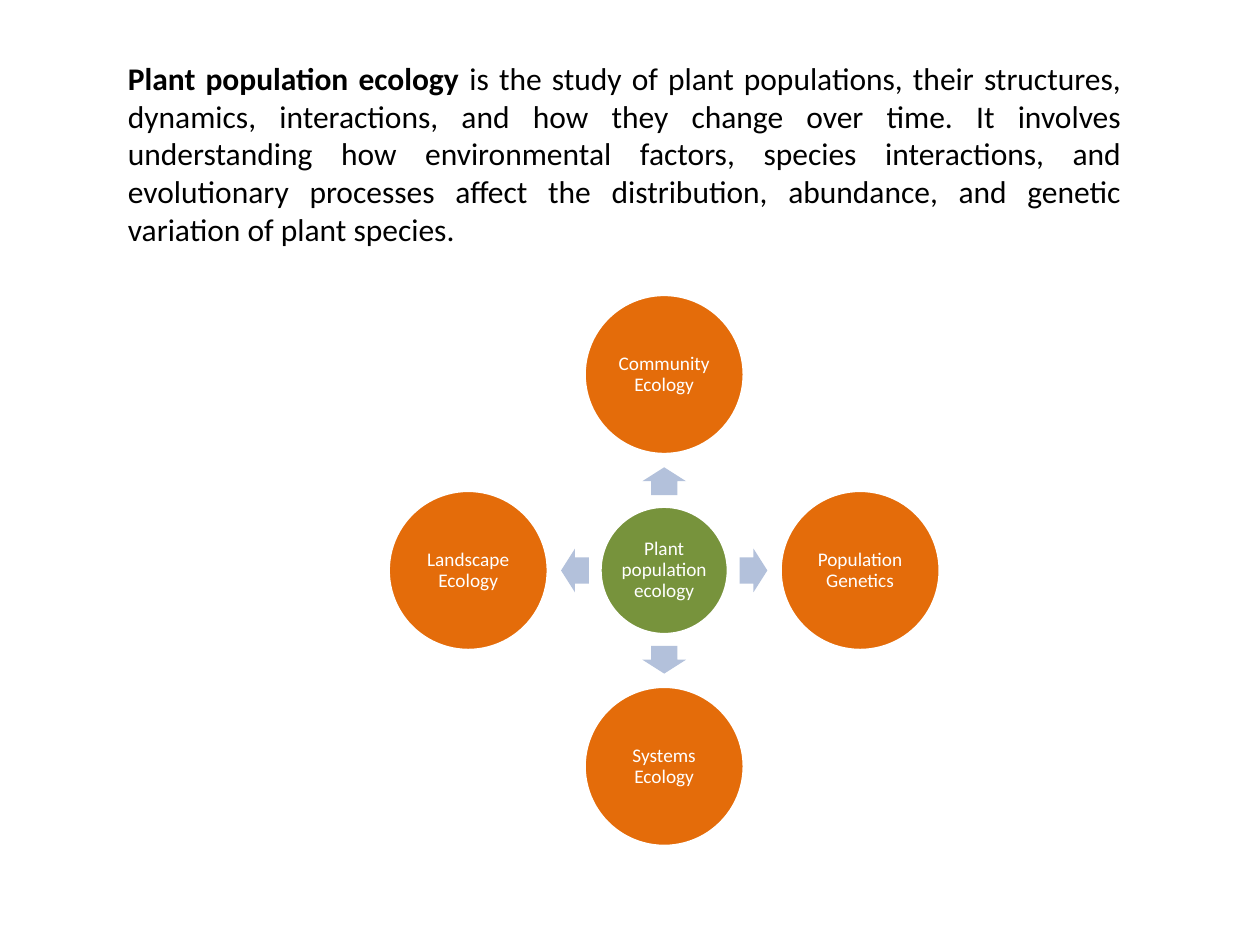
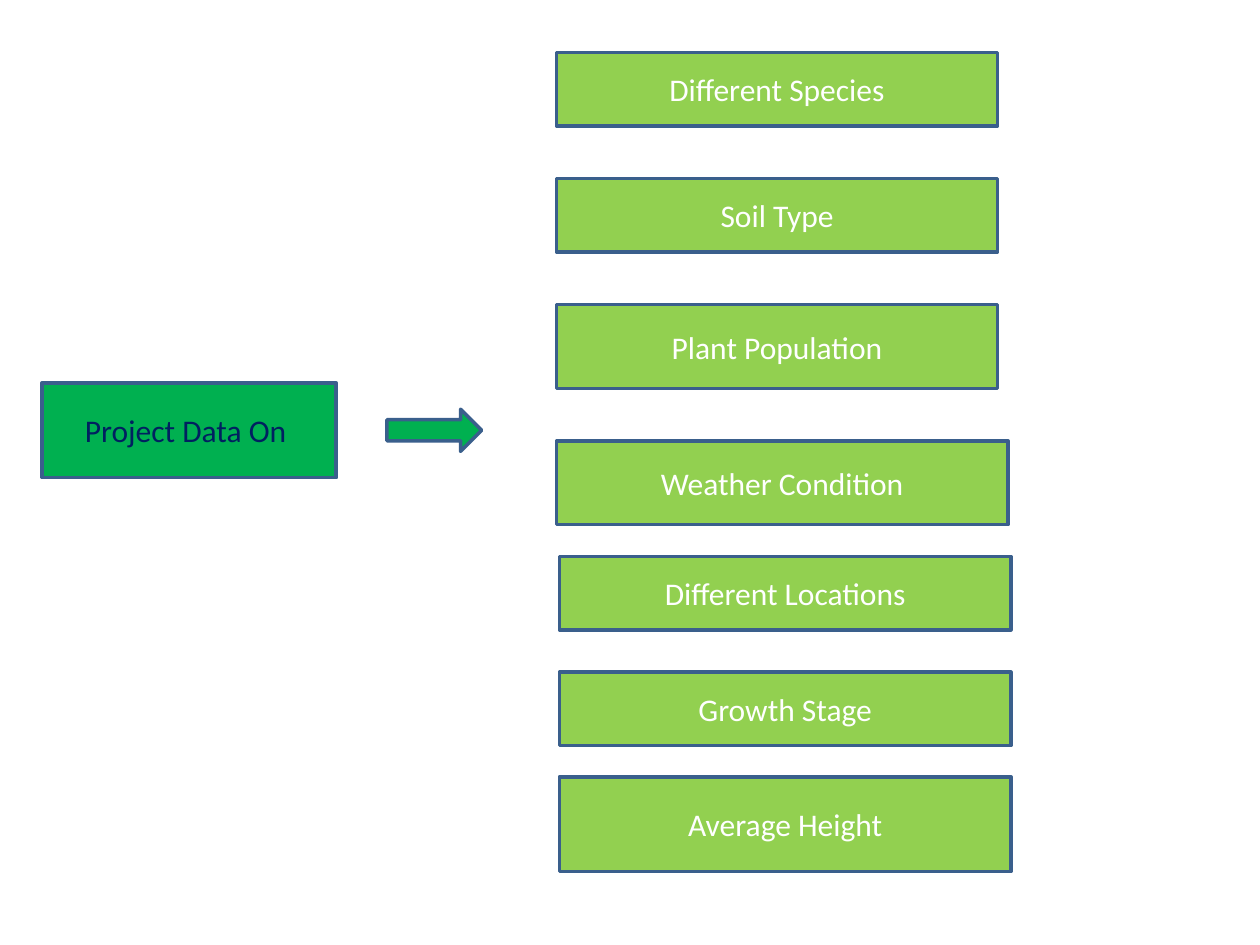
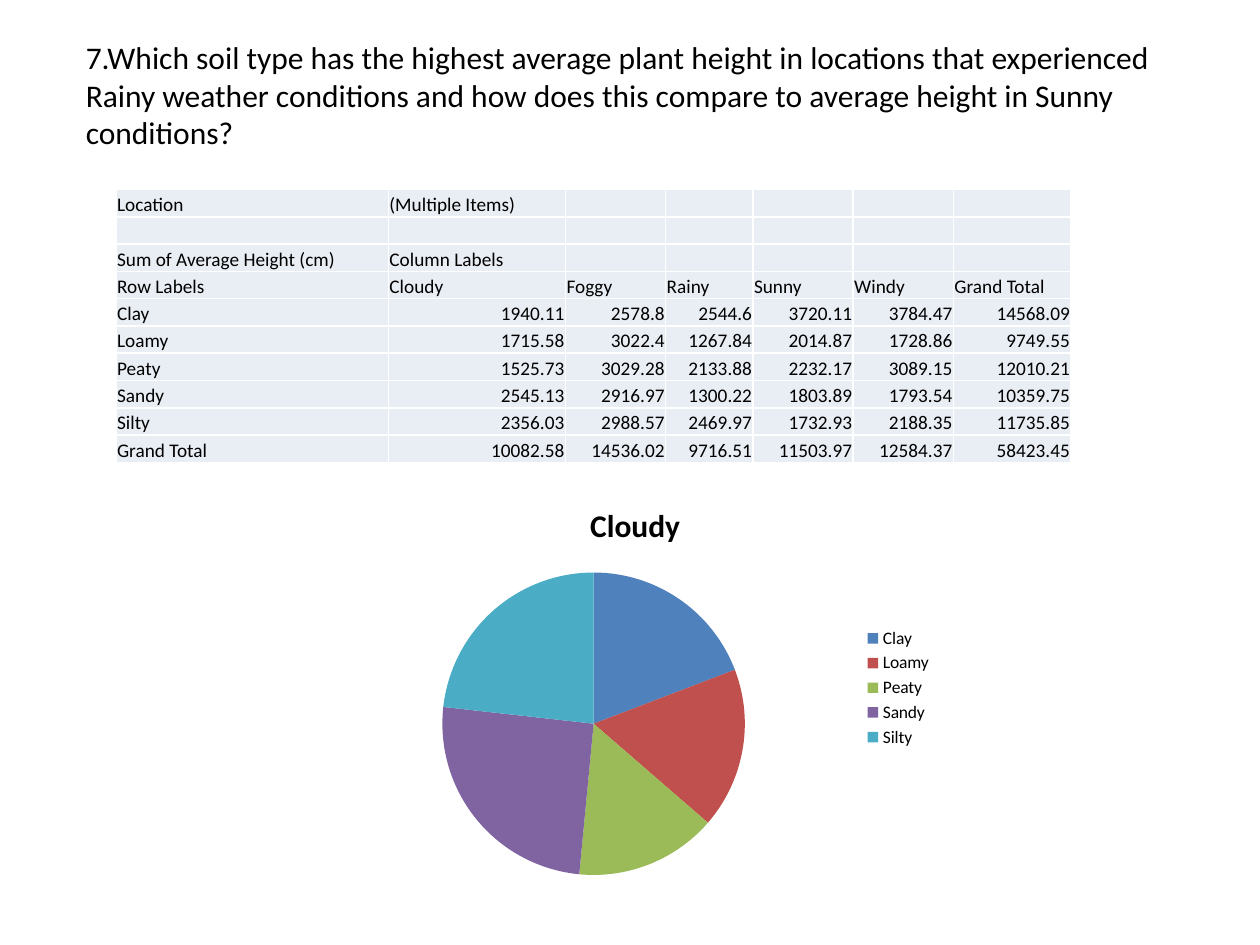
"""Build three slides on plant population ecology and its project data."""
from dataclasses import dataclass
from math import cos, radians, sin

from pptx import Presentation
from pptx.chart.data import CategoryChartData
from pptx.dml.color import RGBColor
from pptx.enum.chart import XL_CHART_TYPE as ChartType, XL_LEGEND_POSITION as LegendPosition
from pptx.enum.shapes import MSO_SHAPE as Preset
from pptx.enum.text import MSO_ANCHOR as Anchor, MSO_AUTO_SIZE as AutoSize, PP_ALIGN as Align
from pptx.shapes.autoshape import Shape
from pptx.slide import Slide
from pptx.text.text import Font, TextFrame, _Paragraph as Paragraph
from pptx.util import Cm, Pt

COLORS = {
    "text": "000000", "white": "FFFFFF", "navy": "002060",
    "hub": "77933C", "satellite": "E46C0A", "spoke": "B3C1DB",
    "topic": "92D050", "project": "00B050", "outline": "3A5F8C", "cell": "E9EDF4",
}
SLICE_COLORS = ["4F81BD", "C0504D", "9BBB59", "8064A2", "4BACC6"]
FONT = "Calibri"
BODY_SIZE = 18
SMALL_SIZE = 11


@dataclass(frozen=True)
class Box:
    """Place and size in centimetres."""
    left: float
    top: float
    width: float
    height: float

    def lengths(self) -> tuple[Cm, Cm, Cm, Cm]:
        """Give the four values as slide lengths."""
        return Cm(self.left), Cm(self.top), Cm(self.width), Cm(self.height)


@dataclass(frozen=True)
class Satellite:
    """A field of ecology at an angle around the hub."""
    label: str
    angle: int


@dataclass(frozen=True)
class Topic:
    """A labelled box in the list of project data."""
    label: str
    box: Box


HUB_CENTER = (13.39, 11.5)
HUB_DIAMETER = 2.59
SATELLITE_DIAMETER = 3.23
SATELLITE_DISTANCE = 3.95
SPOKE_DISTANCE = 1.8
SPOKE_WIDTH, SPOKE_HEIGHT = 0.56, 0.88
SATELLITES = [
    Satellite("Community Ecology", 270),
    Satellite("Population Genetics", 0),
    Satellite("Systems Ecology", 90),
    Satellite("Landscape Ecology", 180),
]

TOPICS = [
    Topic("Different Species", Box(11.22, 1.06, 8.89, 1.48)),
    Topic("Soil Type", Box(11.22, 3.6, 8.89, 1.48)),
    Topic("Plant Population", Box(11.22, 6.14, 8.89, 1.69)),
    Topic("Weather Condition", Box(11.22, 8.89, 9.1, 1.69)),
    Topic("Different Locations", Box(11.28, 11.22, 9.1, 1.48)),
    Topic("Growth Stage", Box(11.28, 13.55, 9.1, 1.48)),
    Topic("Average Height", Box(11.28, 15.66, 9.1, 1.91)),
]

WEATHER = ["Cloudy", "Foggy", "Rainy", "Sunny", "Windy"]
HEIGHTS = {
    "Clay": [1940.11, 2578.8, 2544.6, 3720.11, 3784.47, 14568.09],
    "Loamy": [1715.58, 3022.4, 1267.84, 2014.87, 1728.86, 9749.55],
    "Peaty": [1525.73, 3029.28, 2133.88, 2232.17, 3089.15, 12010.21],
    "Sandy": [2545.13, 2916.97, 1300.22, 1803.89, 1793.54, 10359.75],
    "Silty": [2356.03, 2988.57, 2469.97, 1732.93, 2188.35, 11735.85],
}
TOTALS = [10082.58, 14536.02, 9716.51, 11503.97, 12584.37, 58423.45]
TABLE_ROWS = [
    ["Location", "(Multiple Items)"],
    [],
    ["Sum of Average Height (cm)", "Column Labels"],
    ["Row Labels", *WEATHER, "Grand Total"],
    *([soil, *values] for soil, values in HEIGHTS.items()),
    ["Grand Total", *TOTALS],
]
COLUMN_WIDTHS = [5.49, 3.57, 2.02, 1.76, 2.02, 2.02, 2.37]
ROW_HEIGHT = 0.55


def color(name: str) -> RGBColor:
    """Look up a named colour."""
    return RGBColor.from_string(COLORS[name])


def style_font(font: Font, size: float, color_name: str = "text") -> None:
    """Set the shared typeface with a size and a colour."""
    font.name = FONT
    font.size = Pt(size)
    font.color.rgb = color(color_name)


def add_statement(slide: Slide, box: Box) -> Paragraph:
    """Add a wrapping text box and return its paragraph."""
    frame = slide.shapes.add_textbox(*box.lengths()).text_frame
    frame.word_wrap = True
    frame.auto_size = AutoSize.SHAPE_TO_FIT_TEXT
    paragraph = frame.paragraphs[0]
    style_font(paragraph.font, BODY_SIZE)
    return paragraph


def add_figure(slide: Slide, preset: Preset, box: Box, fill: str, line: str | None = None) -> Shape:
    """Add a flat preset shape, outlined if a line colour is given."""
    shape = slide.shapes.add_shape(preset, *box.lengths())
    shape.shadow.inherit = False
    shape.fill.solid()
    shape.fill.fore_color.rgb = color(fill)
    if line:
        shape.line.color.rgb = color(line)
        shape.line.width = Pt(2)
    else:
        shape.line.fill.background()
    return shape


def write_label(frame: TextFrame, text: str, size: float, color_name: str = "white") -> Paragraph:
    """Write centred text in a shape."""
    frame.word_wrap = True
    frame.vertical_anchor = Anchor.MIDDLE
    paragraph = frame.paragraphs[0]
    paragraph.text = text
    paragraph.alignment = Align.CENTER
    style_font(paragraph.font, size, color_name)
    return paragraph


def centered_box(angle: int, distance: float, width: float, height: float) -> Box:
    """Place a box by its centre, at an angle and distance from the hub."""
    center_x = HUB_CENTER[0] + distance * cos(radians(angle))
    center_y = HUB_CENTER[1] + distance * sin(radians(angle))
    return Box(center_x - width / 2, center_y - height / 2, width, height)


def add_circle(slide: Slide, box: Box, label: str, fill: str) -> None:
    """Add a labelled circle of the radial diagram."""
    frame = add_figure(slide, Preset.OVAL, box, fill, "white").text_frame
    frame.margin_left = frame.margin_right = frame.margin_top = frame.margin_bottom = Cm(0.05)
    write_label(frame, label, SMALL_SIZE).line_spacing = 0.9


def build_definition(slide: Slide) -> None:
    """Define plant population ecology above its radial diagram."""
    paragraph = add_statement(slide, Box(2.33, 1.06, 20.53, 4.11))
    paragraph.alignment = Align.JUSTIFY
    term = paragraph.add_run()
    term.text = "Plant population ecology"
    term.font.bold = True
    paragraph.add_run().text = (
        " is the study of plant populations, their structures, dynamics, interactions, "
        "and how they change over time. It involves understanding how environmental factors, "
        "species interactions, and evolutionary processes affect the distribution, abundance, "
        "and genetic variation of plant species."
    )
    hub = centered_box(0, 0, HUB_DIAMETER, HUB_DIAMETER)
    add_circle(slide, hub, "Plant population ecology", "hub")
    for satellite in SATELLITES:
        spoke_box = centered_box(satellite.angle, SPOKE_DISTANCE, SPOKE_WIDTH, SPOKE_HEIGHT)
        spoke = add_figure(slide, Preset.RIGHT_ARROW, spoke_box, "spoke")
        spoke.rotation = satellite.angle
        spoke.adjustments[0], spoke.adjustments[1] = 0.6, 0.5
        circle_box = centered_box(
            satellite.angle, SATELLITE_DISTANCE, SATELLITE_DIAMETER, SATELLITE_DIAMETER)
        add_circle(slide, circle_box, satellite.label, "satellite")


def build_project_data(slide: Slide) -> None:
    """List the kinds of project data."""
    project = add_figure(slide, Preset.RECTANGLE, Box(0.85, 7.72, 5.93, 1.91), "project", "outline")
    write_label(project.text_frame, "Project Data On ", BODY_SIZE, "navy")
    add_figure(slide, Preset.RIGHT_ARROW, Box(7.8, 8.25, 1.91, 0.85), "project", "outline")
    for topic in TOPICS:
        shape = add_figure(slide, Preset.RECTANGLE, topic.box, "topic", "outline")
        write_label(shape.text_frame, topic.label, BODY_SIZE)


def add_height_table(slide: Slide) -> None:
    """Add the pivot table of heights by soil and weather."""
    box = Box(2.34, 3.82, sum(COLUMN_WIDTHS), ROW_HEIGHT * len(TABLE_ROWS))
    table = slide.shapes.add_table(len(TABLE_ROWS), len(COLUMN_WIDTHS), *box.lengths()).table
    table.first_row = table.horz_banding = False
    for column, width in zip(table.columns, COLUMN_WIDTHS):
        column.width = Cm(width)
    for row, values in zip(table.rows, TABLE_ROWS):
        row.height = Cm(ROW_HEIGHT)
        for index, cell in enumerate(row.cells):
            cell.fill.solid()
            cell.fill.fore_color.rgb = color("cell")
            cell.vertical_anchor = Anchor.BOTTOM
            cell.margin_left = cell.margin_right = cell.margin_top = Cm(0.02)
            cell.margin_bottom = 0
            paragraph = cell.text_frame.paragraphs[0]
            style_font(paragraph.font, SMALL_SIZE)
            if index < len(values):
                paragraph.text = str(values[index])
                if isinstance(values[index], float):
                    paragraph.alignment = Align.RIGHT
            else:
                paragraph._p.get_or_add_endParaRPr().set("sz", str(SMALL_SIZE * 100))


def add_share_chart(slide: Slide) -> None:
    """Add the pie of each soil's percentage share of height."""
    chart_data = CategoryChartData()
    chart_data.categories = list(HEIGHTS)
    for index, weather in enumerate(WEATHER):
        shares = [round(100 * values[index] / TOTALS[index]) for values in HEIGHTS.values()]
        chart_data.add_series(weather, shares)
    box = Box(6.56, 9.74, 12.49, 8.25)
    chart = slide.shapes.add_chart(ChartType.PIE, *box.lengths(), chart_data).chart
    chart.replace_data(chart_data)
    style_font(chart.font, 10)
    chart.has_title = True
    title = chart.chart_title.text_frame.paragraphs[0]
    title.text = WEATHER[0]
    style_font(title.font, BODY_SIZE)
    title.font.bold = True
    chart.has_legend = True
    chart.legend.position = LegendPosition.RIGHT
    chart.legend.include_in_layout = False
    plot = chart.plots[0]
    plot.vary_by_categories = True
    for series in plot.series:
        for index, slice_color in enumerate(SLICE_COLORS):
            fill = series.points[index].format.fill
            fill.solid()
            fill.fore_color.rgb = RGBColor.from_string(slice_color)


def build_soil_question(slide: Slide) -> None:
    """Answer the soil question with a table and a chart."""
    add_statement(slide, Box(1.48, 0.64, 23.28, 2.56)).text = (
        "7.Which soil type has the highest average plant height in locations that experienced "
        "Rainy weather conditions and how does this compare to average height in Sunny conditions?"
    )
    add_height_table(slide)
    add_share_chart(slide)


def main() -> None:
    """Build and save the presentation."""
    presentation = Presentation()
    presentation.slide_width, presentation.slide_height = Cm(25.4), Cm(19.05)
    blank_layout = presentation.slide_layouts[6]
    for build in (build_definition, build_project_data, build_soil_question):
        build(presentation.slides.add_slide(blank_layout))
    presentation.save("out.pptx")


if __name__ == "__main__":
    main()
